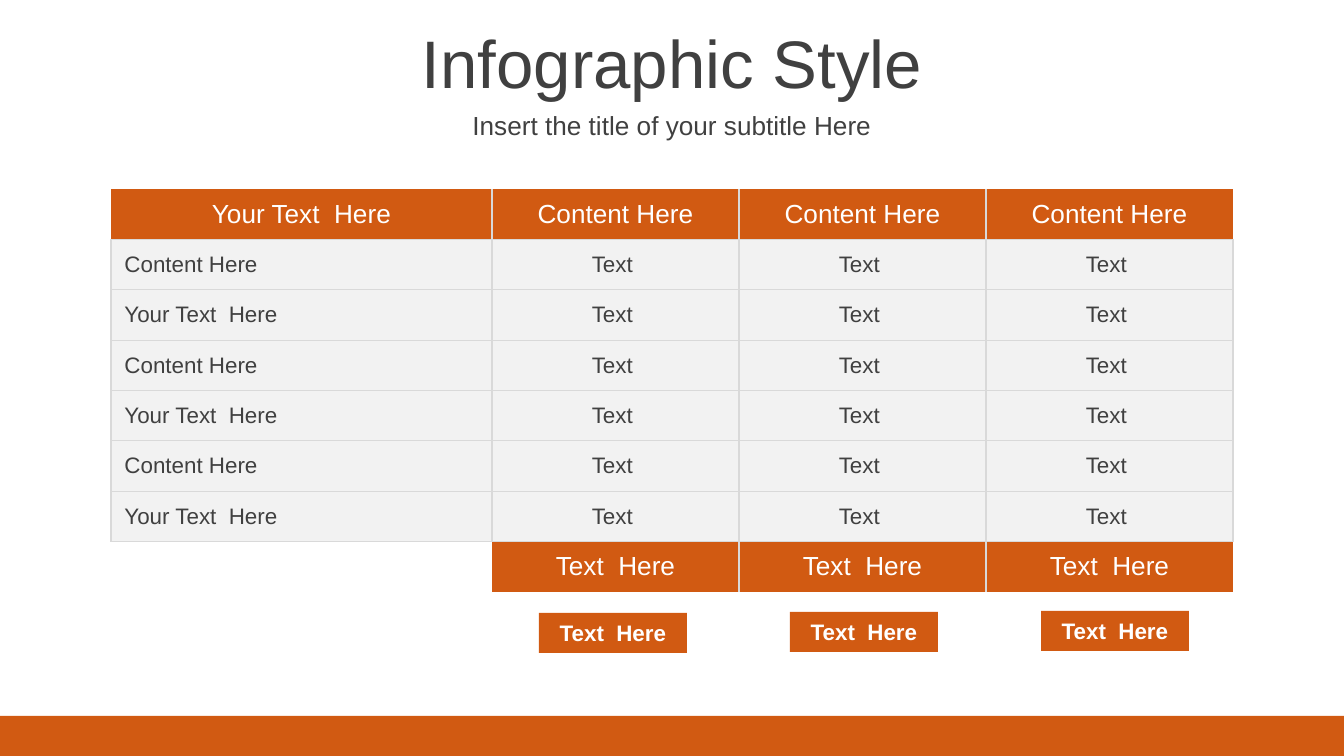
from lxml import etree
from pptx import Presentation, util as u
from pptx.dml.color import RGBColor
from pptx.enum import shapes, text
from pptx.oxml.ns import qn

ORANGE = RGBColor(0xD1, 0x5A, 0x12)
GRAY = RGBColor(0xF2, 0xF2, 0xF2)
RULE = RGBColor(0xD9, 0xD9, 0xD9)
DARK = RGBColor(0x40, 0x40, 0x40)
WHITE = RGBColor(0xFF, 0xFF, 0xFF)

TITLE = "Infographic Style"
SUBTITLE = "Insert the title of your subtitle Here"
HEADER = ["Your Text  Here"] + ["Content Here"] * 3
BODY = [[label] + ["Text "] * 3 for label in ["Content Here", "Your Text  Here"] * 3]
FOOTER = [""] + ["Text  Here"] * 3
BUTTONS = ["Text  Here"] * 3

TITLE_BOX = (0, 19, 1344, 85)
SUBTITLE_BOX = (0, 104, 1344, 42)
TABLE_BOX = (111, 189, 1122, 403)
COLUMNS = [381, 247, 247, 247]
BUTTON_BOX = (539, 613, 148, 40)
BUTTON_STEP = (251, -1)
BAR_BOX = (0, 716, 1344, 40)

TITLE_FONT = dict(size=u.Pt(36), name="Arial", bold=False)
HEAD_FONT = dict(size=u.Pt(14), name="Arial", bold=False)
BODY_FONT = dict(size=u.Pt(12), name="Arial", bold=False)
BUTTON_FONT = dict(size=u.Pt(12), name="Arial", bold=True)
FRAME = dict(word_wrap=True, auto_size=text.MSO_AUTO_SIZE.NONE,
             vertical_anchor=text.MSO_ANCHOR.MIDDLE)
CENTER, LEFT = text.PP_ALIGN.CENTER, text.PP_ALIGN.LEFT


def px(value):
    return round(value * 914400 / 134.4)


def assign(target, values):
    for key, value in values.items():
        setattr(target, key, value)


def write(frame, words, font, color, align=CENTER):
    paragraph = frame.paragraphs[0]
    paragraph.alignment = align
    run = paragraph.add_run()
    run.text = words
    assign(run.font, font)
    run.font.color.rgb = color


def add_block(box):
    block = slide.shapes.add_shape(shapes.MSO_SHAPE.RECTANGLE, *map(px, box))
    block.shadow.inherit = False
    block.fill.solid()
    block.fill.fore_color.rgb = ORANGE
    block.line.fill.background()
    return block


def add_borders(cell, edges):
    properties = cell._tc.get_or_add_tcPr()
    for side in "LRTB":
        line = etree.SubElement(properties, qn("a:ln" + side), w=str(u.Pt(0.75)))
        if edges[side]:
            fill = etree.SubElement(line, qn("a:solidFill"))
            etree.SubElement(fill, qn("a:srgbClr"), val=str(RULE))
        else:
            etree.SubElement(line, qn("a:noFill"))


deck = Presentation()
deck.slide_width, deck.slide_height = px(1344), px(756)
slide = deck.slides.add_slide(deck.slide_layouts[5])

add_block(BAR_BOX)

title = slide.shapes.title
subtitle = slide.shapes.add_textbox(*map(px, SUBTITLE_BOX))
assign(title, dict(zip(("left", "top", "width", "height"), map(px, TITLE_BOX))))
for heading, words, font in ((title, TITLE, TITLE_FONT), (subtitle, SUBTITLE, HEAD_FONT)):
    assign(heading.text_frame, FRAME)
    write(heading.text_frame, words, font, DARK)

rows = [HEADER] + BODY + [FOOTER]
last_row, last_column = len(rows) - 1, len(COLUMNS) - 1
table = slide.shapes.add_table(len(rows), len(COLUMNS), *map(px, TABLE_BOX)).table
assign(table, dict(first_row=False, horz_banding=False))
for column, width in zip(table.columns, COLUMNS):
    column.width = px(width)
for r, words_in_row in enumerate(rows):
    table.rows[r].height = px(TABLE_BOX[3] / len(rows))
    in_body = 0 < r < last_row
    first_filled = 1 if r == last_row else 0
    for c, words in enumerate(words_in_row):
        cell = table.cell(r, c)
        assign(cell, dict(margin_top=0, margin_bottom=0,
                          vertical_anchor=text.MSO_ANCHOR.MIDDLE))
        add_borders(cell, dict(L=in_body or c > first_filled,
                               R=in_body or first_filled <= c < last_column,
                               T=r > 0, B=r < last_row))
        write(cell.text_frame, words, BODY_FONT if in_body else HEAD_FONT,
              DARK if in_body else WHITE, LEFT if in_body and c == 0 else CENTER)
        if words:
            cell.fill.solid()
            cell.fill.fore_color.rgb = GRAY if in_body else ORANGE
        else:
            cell.fill.background()

left, top, width, height = BUTTON_BOX
for i, words in enumerate(BUTTONS):
    button = add_block((left + i * BUTTON_STEP[0], top + i * BUTTON_STEP[1], width, height))
    assign(button.text_frame, FRAME)
    write(button.text_frame, words, BUTTON_FONT, WHITE)

deck.save("out.pptx")
